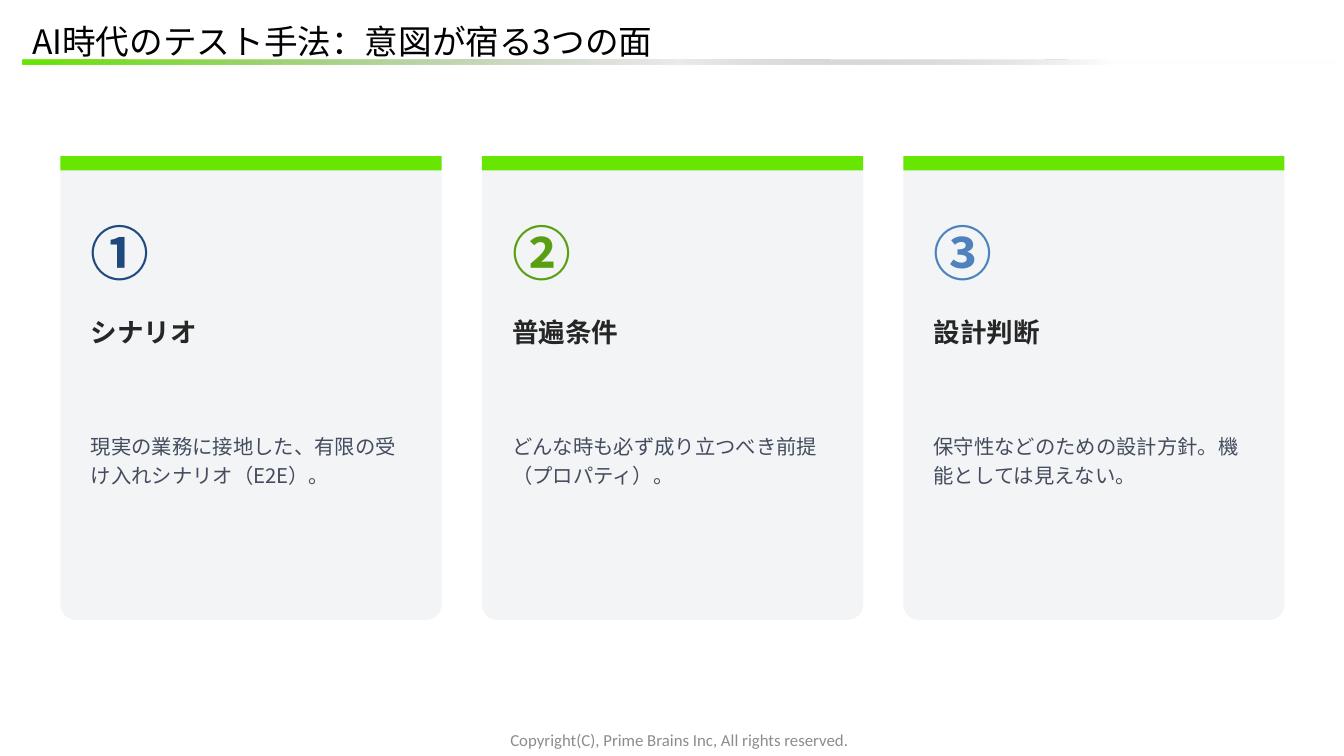
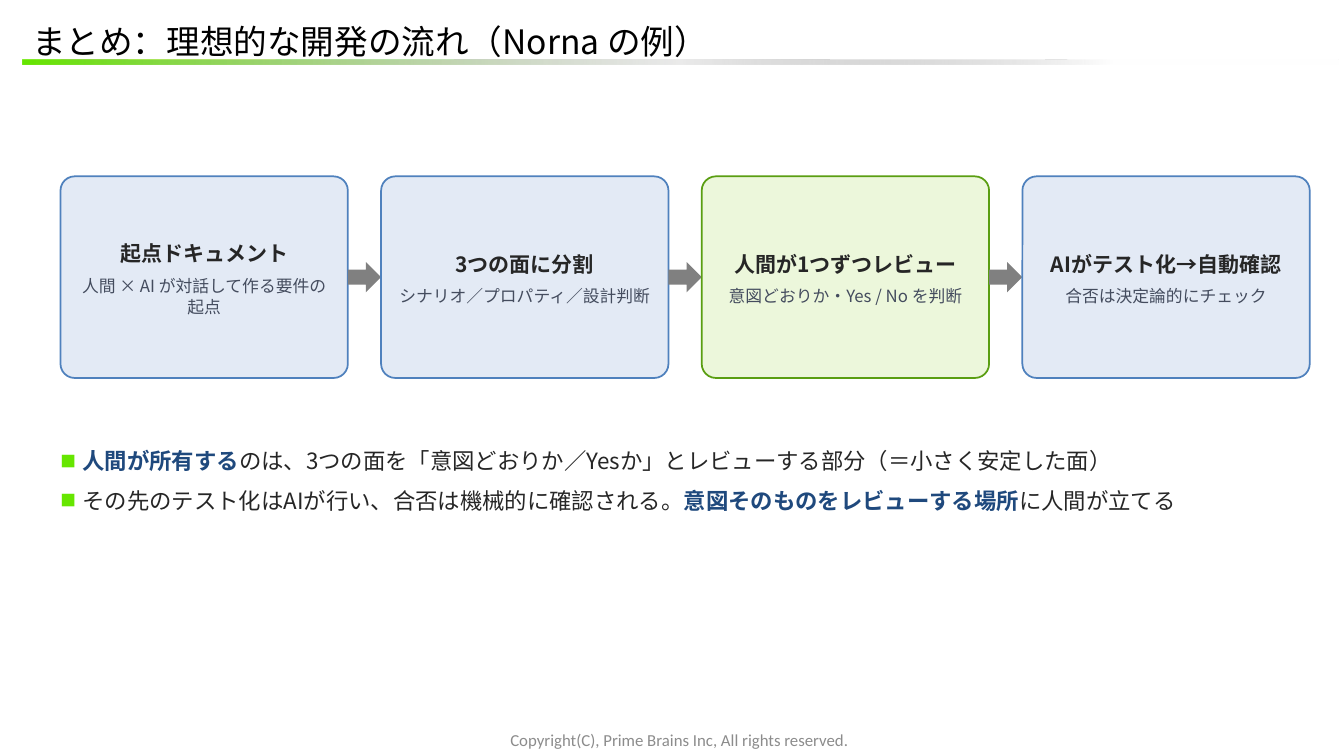
"""Build two slides on test facets and the ideal development flow."""
from dataclasses import dataclass

import pptx
import pptx.dml.color
import pptx.enum.shapes
import pptx.enum.text
import pptx.oxml
import pptx.oxml.ns
import pptx.util

PX = 9144
SHAPE = pptx.enum.shapes.MSO_SHAPE
ALIGN = pptx.enum.text.PP_ALIGN
ANCHOR = pptx.enum.text.MSO_ANCHOR


@dataclass(frozen=True)
class Theme:
    font: str = "Noto Sans CJK JP"
    footer_font: str = "Calibri"
    black: str = "000000"
    ink: str = "262626"
    body: str = "444C5E"
    muted: str = "8C8C8C"
    gray: str = "808080"
    white: str = "FFFFFF"
    lime: str = "66E600"
    green: str = "5A9E12"
    navy: str = "1F497D"
    blue: str = "4F81BD"
    card: str = "F2F4F6"
    pale_blue: str = "E3EAF5"
    pale_green: str = "ECF7DB"
    title_size: float = 24
    footer_size: float = 12
    number_size: float = 42
    heading_size: float = 19
    card_size: float = 14.5
    step_size: float = 15
    detail_size: float = 12
    point_size: float = 16


THEME = Theme()
FOOTER = "Copyright(C), Prime Brains Inc, All rights reserved."
FACETS_TITLE = "AI時代のテスト手法：意図が宿る3つの面"
FACETS = [
    ("①", THEME.navy, "シナリオ", "現実の業務に接地した、有限の受け入れシナリオ（E2E）。"),
    ("②", THEME.green, "普遍条件", "どんな時も必ず成り立つべき前提（プロパティ）。"),
    ("③", THEME.blue, "設計判断", "保守性などのための設計方針。機能としては見えない。"),
]
FLOW_TITLE = "まとめ：理想的な開発の流れ（Norna の例）"
MACHINE = (THEME.pale_blue, THEME.blue)
HUMAN = (THEME.pale_green, THEME.green)
STEPS = [
    ("起点ドキュメント", "人間 × AI が対話して作る要件の起点", MACHINE),
    ("3つの面に分割", "シナリオ／プロパティ／設計判断", MACHINE),
    ("人間が1つずつレビュー", "意図どおりか・Yes / No を判断", HUMAN),
    ("AIがテスト化→自動確認", "合否は決定論的にチェック", MACHINE),
]
POINTS = [
    [("人間が所有する", True),
     ("のは、3つの面を「意図どおりか／Yesか」とレビューする部分（＝小さく安定した面）", False)],
    [("その先のテスト化はAIが行い、合否は機械的に確認される。", False),
     ("意図そのものをレビューする場所", True), ("に人間が立てる", False)],
]


def rgb(color):
    return pptx.dml.color.RGBColor.from_string(color)


def emu(*lengths):
    return [length * PX for length in lengths]


def element(markup):
    namespace = pptx.oxml.ns.nsdecls("a")
    return pptx.oxml.parse_xml(markup.replace("/>", f" {namespace}/>", 1)
                               if markup.endswith("/>") and markup.count("<") == 1
                               else markup.replace(">", f" {namespace}>", 1))


def add_block(slide, kind, box, fill, line=None, radius=None):
    shape = slide.shapes.add_shape(kind, *emu(*box))
    shape.shadow.inherit = False
    shape.fill.solid()
    shape.fill.fore_color.rgb = rgb(fill)
    if line:
        shape.line.color.rgb = rgb(line)
        shape.line.width = pptx.util.Pt(1.25)
    else:
        shape.line.fill.background()
    if radius:
        shape.adjustments[0] = radius
    return shape


def add_frame(slide, box, anchor=ANCHOR.TOP, side=0):
    frame = slide.shapes.add_textbox(*emu(*box)).text_frame
    frame.word_wrap = True
    frame.vertical_anchor = anchor
    frame.margin_left = frame.margin_right = side * PX
    frame.margin_top = frame.margin_bottom = 0
    return frame


def style(paragraph, size, color, bold=False, spacing=1.0, after=0,
          align=ALIGN.LEFT, font=THEME.font):
    paragraph.alignment = align
    paragraph.line_spacing = spacing
    paragraph.space_after = pptx.util.Pt(after)
    paragraph.font.size = pptx.util.Pt(size)
    paragraph.font.bold = bold
    paragraph.font.color.rgb = rgb(color)
    paragraph.font.name = font
    defaults = paragraph._p.get_or_add_pPr().find(pptx.oxml.ns.qn("a:defRPr"))
    defaults.append(element(f'<a:ea typeface="{font}"/>'))


def add_text(slide, box, text, size, color, anchor=ANCHOR.TOP, side=0, **options):
    paragraph = add_frame(slide, box, anchor, side).paragraphs[0]
    paragraph.text = text
    style(paragraph, size, color, **options)


def add_bullet(paragraph):
    properties = paragraph._p.get_or_add_pPr()
    properties.set("marL", str(22 * PX))
    properties.set("indent", str(-22 * PX))
    for markup in (
        f'<a:buClr><a:srgbClr val="{THEME.lime}"/></a:buClr>',
        '<a:buSzPct val="70000"/>',
        f'<a:buFont typeface="{THEME.font}"/>',
        '<a:buChar char="■"/>',
    ):
        properties.append(element(markup))


def add_page(presentation, title):
    slide = presentation.slides.add_slide(presentation.slide_layouts[6])
    rule = add_block(slide, SHAPE.RECTANGLE, (22, 59, 1305, 5), THEME.lime)
    solid = rule._element.spPr.find(pptx.oxml.ns.qn("a:solidFill"))
    solid.getparent().replace(solid, element(
        '<a:gradFill><a:gsLst>'
        f'<a:gs pos="17000"><a:srgbClr val="{THEME.white}"/></a:gs>'
        f'<a:gs pos="50000"><a:srgbClr val="{THEME.gray}"><a:alpha val="16000"/></a:srgbClr></a:gs>'
        f'<a:gs pos="100000"><a:srgbClr val="{THEME.lime}"/></a:gs>'
        '</a:gsLst><a:lin ang="10800000" scaled="0"/></a:gradFill>'))
    add_text(slide, (27, 725, 1294, 18), FOOTER, THEME.footer_size, THEME.muted,
             ANCHOR.MIDDLE, align=ALIGN.CENTER, font=THEME.footer_font)
    add_text(slide, (22, 23, 1294, 36), title, THEME.title_size, THEME.black,
             ANCHOR.MIDDLE, side=10)
    return slide


def add_facets(presentation):
    slide = add_page(presentation, FACETS_TITLE)
    top, width, gap, inset = 155, 378, 40, 30
    for index, (number, color, heading, detail) in enumerate(FACETS):
        left = 60 + index * (width + gap)
        text_left, text_width = left + inset, width - 2 * inset
        add_block(slide, SHAPE.ROUNDED_RECTANGLE, (left, top, width, 460), THEME.card, radius=0.04)
        add_block(slide, SHAPE.RECTANGLE, (left, top, width, 14), THEME.lime)
        add_text(slide, (text_left, 205, text_width, 100), number,
                 THEME.number_size, color, bold=True, spacing=1.15)
        add_text(slide, (text_left, 310, text_width, 100), heading,
                 THEME.heading_size, THEME.ink, bold=True, spacing=1.12, after=2)
        add_text(slide, (text_left, 425, text_width, 170), detail,
                 THEME.card_size, THEME.body, spacing=1.22)


def add_flow(presentation):
    slide = add_page(presentation, FLOW_TITLE)
    top, width, height, gap = 175, 285, 200, 33
    for index, (heading, detail, (fill, line)) in enumerate(STEPS):
        left = 60 + index * (width + gap)
        if index:
            add_block(slide, SHAPE.RIGHT_ARROW,
                      (left - gap, top + height // 2 - 15, gap, 30), THEME.gray)
        add_block(slide, SHAPE.ROUNDED_RECTANGLE, (left, top, width, height), fill, line, 0.07)
        frame = add_frame(slide, (left + 18, top + 22, width - 36, height - 44), ANCHOR.MIDDLE)
        frame.text = f"{heading}\n{detail}"
        style(frame.paragraphs[0], THEME.step_size, THEME.ink, bold=True,
              spacing=1.12, after=6, align=ALIGN.CENTER)
        style(frame.paragraphs[1], THEME.detail_size, THEME.body,
              spacing=1.08, align=ALIGN.CENTER)

    frame = add_frame(slide, (60, 440, 1213, 200))
    for index, runs in enumerate(POINTS):
        paragraph = frame.add_paragraph() if index else frame.paragraphs[0]
        add_bullet(paragraph)
        style(paragraph, THEME.point_size, THEME.ink, spacing=1.15, after=6)
        for text, strong in runs:
            run = paragraph.add_run()
            run.text = text
            if strong:
                run.font.bold = True
                run.font.color.rgb = rgb(THEME.navy)


def main():
    presentation = pptx.Presentation()
    presentation.slide_width, presentation.slide_height = emu(1333, 750)
    add_facets(presentation)
    add_flow(presentation)
    presentation.save("out.pptx")


if __name__ == "__main__":
    main()
